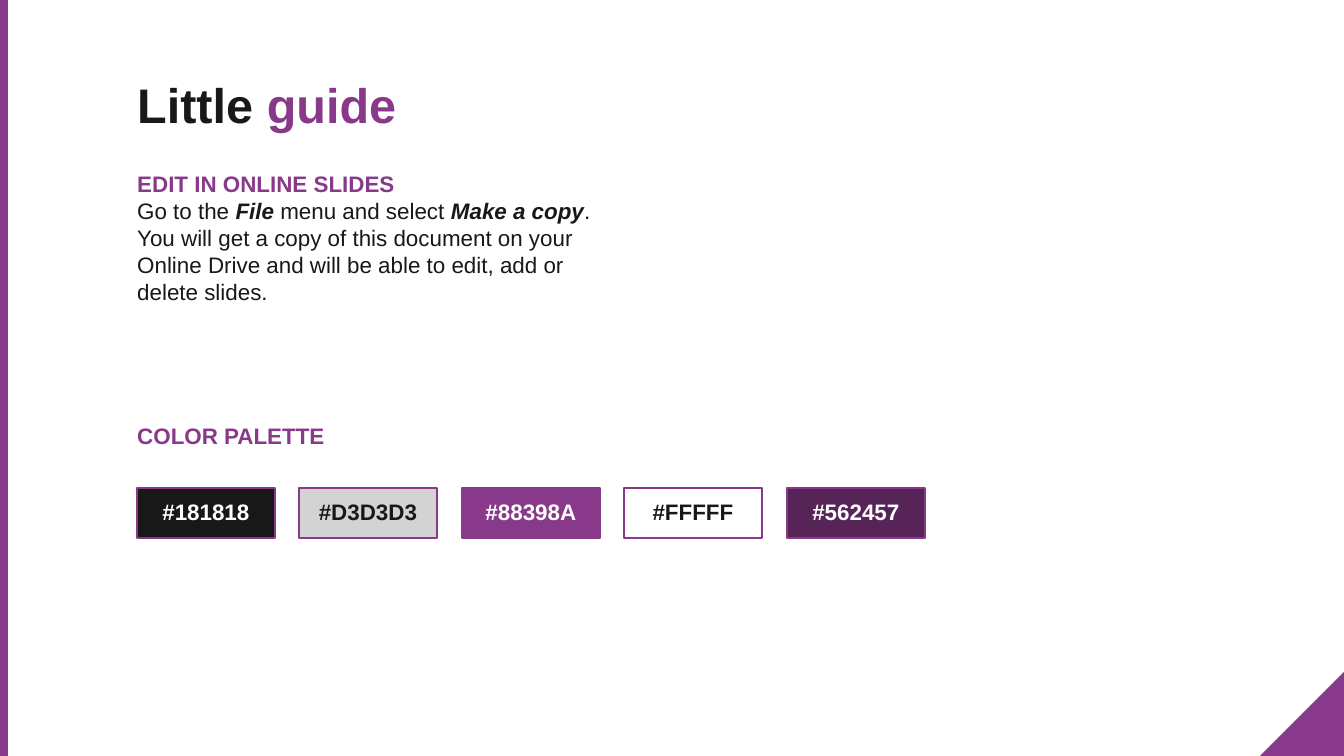
import pptx
import pptx.dml.color
import pptx.enum.shapes
import pptx.enum.text
import pptx.util

PX = 914400 / 134.4
BLACK, WHITE, GREY = "181818", "FFFFFF", "D3D3D3"
PURPLE, DARK_PURPLE = "88398A", "562457"
SHAPES = pptx.enum.shapes.MSO_SHAPE
ANCHORS = pptx.enum.text.MSO_ANCHOR
ALIGNMENTS = pptx.enum.text.PP_ALIGN


def rgb(color):
    return pptx.dml.color.RGBColor.from_string(color)


def write(shape, paragraphs, size=12, anchor=ANCHORS.TOP, align=ALIGNMENTS.LEFT):
    """Fill the shape with paragraphs, each a list of (text, color, bold, italic) runs."""
    frame = shape.text_frame
    frame.word_wrap = True
    frame.vertical_anchor = anchor
    frame.margin_left = frame.margin_right = pptx.util.Inches(0.1)
    frame.margin_top = frame.margin_bottom = pptx.util.Inches(0.1)
    for index, runs in enumerate(paragraphs):
        paragraph = frame.add_paragraph() if index else frame.paragraphs[0]
        paragraph.alignment = align
        for text, color, bold, italic in runs:
            run = paragraph.add_run()
            run.text = text
            run.font.name = "Arial"
            run.font.size = pptx.util.Pt(size)
            run.font.bold = bold
            run.font.italic = italic
            run.font.color.rgb = rgb(color)


presentation = pptx.Presentation()
presentation.slide_width = round(1344 * PX)
presentation.slide_height = round(756 * PX)
slide = presentation.slides.add_slide(presentation.slide_layouts[6])

# Corner triangle and left edge bar
for kind, bounds, rotation in [
    (SHAPES.RIGHT_TRIANGLE, (1260, 672, 84, 84), 270),
    (SHAPES.RECTANGLE, (0, 0, 8, 756), 0),
]:
    decoration = slide.shapes.add_shape(kind, *[round(value * PX) for value in bounds])
    decoration.shadow.inherit = False
    decoration.rotation = rotation
    decoration.fill.solid()
    decoration.fill.fore_color.rgb = rgb(PURPLE)
    decoration.line.fill.background()

# Title, instructions and palette heading
title = [[("Little ", BLACK, True, False), ("guide", PURPLE, True, False)]]
instructions = [
    [("EDIT IN ONLINE SLIDES", PURPLE, True, False)],
    [
        ("Go to the ", BLACK, False, False),
        ("File", BLACK, True, True),
        (" menu and select ", BLACK, False, False),
        ("Make a copy", BLACK, True, True),
        (".", BLACK, False, False),
    ],
    [("You will get a copy of this document on your Online Drive and will be "
      "able to edit, add or delete slides.", BLACK, False, False)],
]
palette_heading = [[("COLOR PALETTE", PURPLE, True, False)]]

for top, width, height, size, paragraphs in [
    (62, 333, 126, 26, title),
    (157, 488, 200, 12, instructions),
    (409, 488, 79, 12, palette_heading),
]:
    text_box = slide.shapes.add_textbox(
        *[round(value * PX) for value in (124, top, width, height)])
    write(text_box, paragraphs, size=size)

# Palette swatches, evenly spread over 650 px from first to last left edge
for column, (fill, label, text_color) in enumerate([
    (BLACK, "#181818", WHITE),
    (GREY, "#D3D3D3", BLACK),
    (PURPLE, "#88398A", WHITE),
    (WHITE, "#FFFFF", BLACK),
    (DARK_PURPLE, "#562457", WHITE),
]):
    left = 137 + column * 650 // 4
    swatch = slide.shapes.add_shape(
        SHAPES.RECTANGLE, *[round(value * PX) for value in (left, 488, 138, 50)])
    swatch.shadow.inherit = False
    swatch.fill.solid()
    swatch.fill.fore_color.rgb = rgb(fill)
    swatch.line.color.rgb = rgb(PURPLE)
    swatch.line.width = pptx.util.Pt(0.75)
    write(swatch, [[(label, text_color, True, False)]],
          anchor=ANCHORS.BOTTOM, align=ALIGNMENTS.CENTER)

presentation.save("out.pptx")
